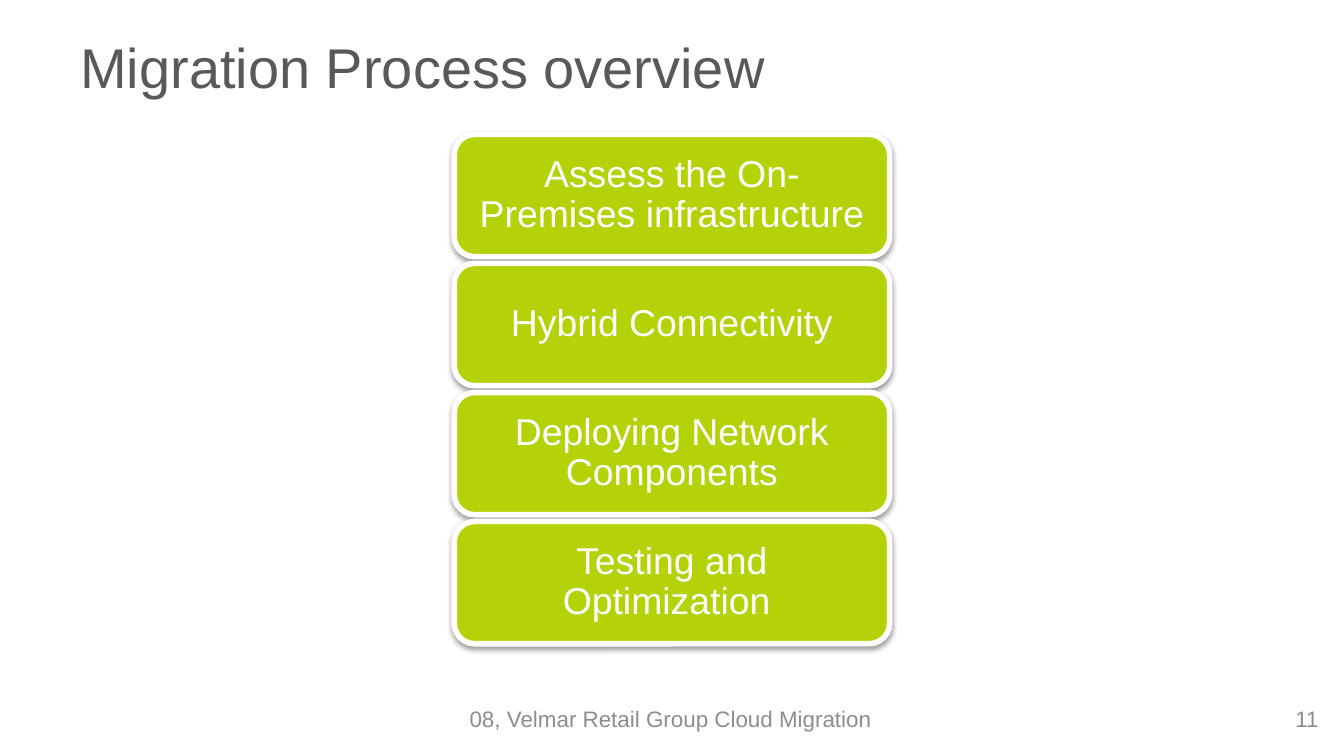
from lxml import etree
from pptx import Presentation
from pptx.dml.color import RGBColor
from pptx.enum import shapes, text
from pptx.oxml import ns
from pptx.util import Inches, Pt

TITLE_GRAY = RGBColor(0x58, 0x59, 0x5B)
FOOTER_GRAY = RGBColor(0x8C, 0x8D, 0x94)
LIME = RGBColor(0xB5, 0xD1, 0x07)
WHITE = RGBColor(0xFF, 0xFF, 0xFF)

STEPS = [
    "Assess the On-Premises infrastructure",
    "Hybrid Connectivity",
    "Deploying Network Components",
    "Testing and Optimization ",
]
STEP_LEFT, STEP_TOP, STEP_WIDTH, STEP_HEIGHT = 3.38, 1, 3.24, 0.91
STEP_PITCH = 0.96


def write(shape, words, size, color, align):
    """Set one vertically centred, wrapped paragraph in the shape."""
    frame = shape.text_frame
    frame.word_wrap = True
    frame.vertical_anchor = text.MSO_ANCHOR.MIDDLE
    para = frame.paragraphs[0]
    para.text = words
    para.alignment = align
    para.line_spacing = 0.9
    para.font.name = "Arial"
    para.font.size = Pt(size)
    para.font.color.rgb = color


def add_shadow(shape):
    """Add a soft black shadow straight below the shape."""
    shape.shadow.inherit = False
    effects = shape._element.spPr.find(ns.qn("a:effectLst"))
    shadow = etree.SubElement(
        effects, ns.qn("a:outerShdw"), blurRad=str(Pt(3.1)), dist=str(Pt(1.6)),
        dir="5400000", rotWithShape="0")
    black = etree.SubElement(shadow, ns.qn("a:srgbClr"), val="000000")
    etree.SubElement(black, ns.qn("a:alpha"), val="38000")


# Widescreen page, 16:9
deck = Presentation()
deck.slide_width = Inches(10)
deck.slide_height = Inches(10) * 9 // 16
page = deck.slides.add_slide(deck.slide_layouts[6])

# Title, footer and page number
LEFT, CENTER, RIGHT = text.PP_ALIGN.LEFT, text.PP_ALIGN.CENTER, text.PP_ALIGN.RIGHT
for words, bounds, size, color, align in [
    ("Migration Process overview", (0.5, 0.23, 9, 0.59), 30, TITLE_GRAY, LEFT),
    ("08, Velmar Retail Group Cloud Migration", (1.82, 5.21, 6.34, 0.3), 12, FOOTER_GRAY, CENTER),
    ("11", (7.58, 5.21, 2.33, 0.3), 12, FOOTER_GRAY, RIGHT),
]:
    box = page.shapes.add_textbox(*map(Inches, bounds))
    write(box, words, size, color, align)

# Stacked migration steps
for index, words in enumerate(STEPS):
    step = page.shapes.add_shape(
        shapes.MSO_SHAPE.ROUNDED_RECTANGLE,
        Inches(STEP_LEFT), Inches(STEP_TOP + index * STEP_PITCH),
        Inches(STEP_WIDTH), Inches(STEP_HEIGHT))
    step.fill.solid()
    step.fill.fore_color.rgb = LIME
    step.line.color.rgb = WHITE
    step.line.width = Pt(3)
    add_shadow(step)
    frame = step.text_frame
    frame.margin_left = frame.margin_right = Inches(0.08)
    frame.margin_top = frame.margin_bottom = Inches(0.04)
    write(step, words, 20, WHITE, CENTER)

deck.save("out.pptx")
